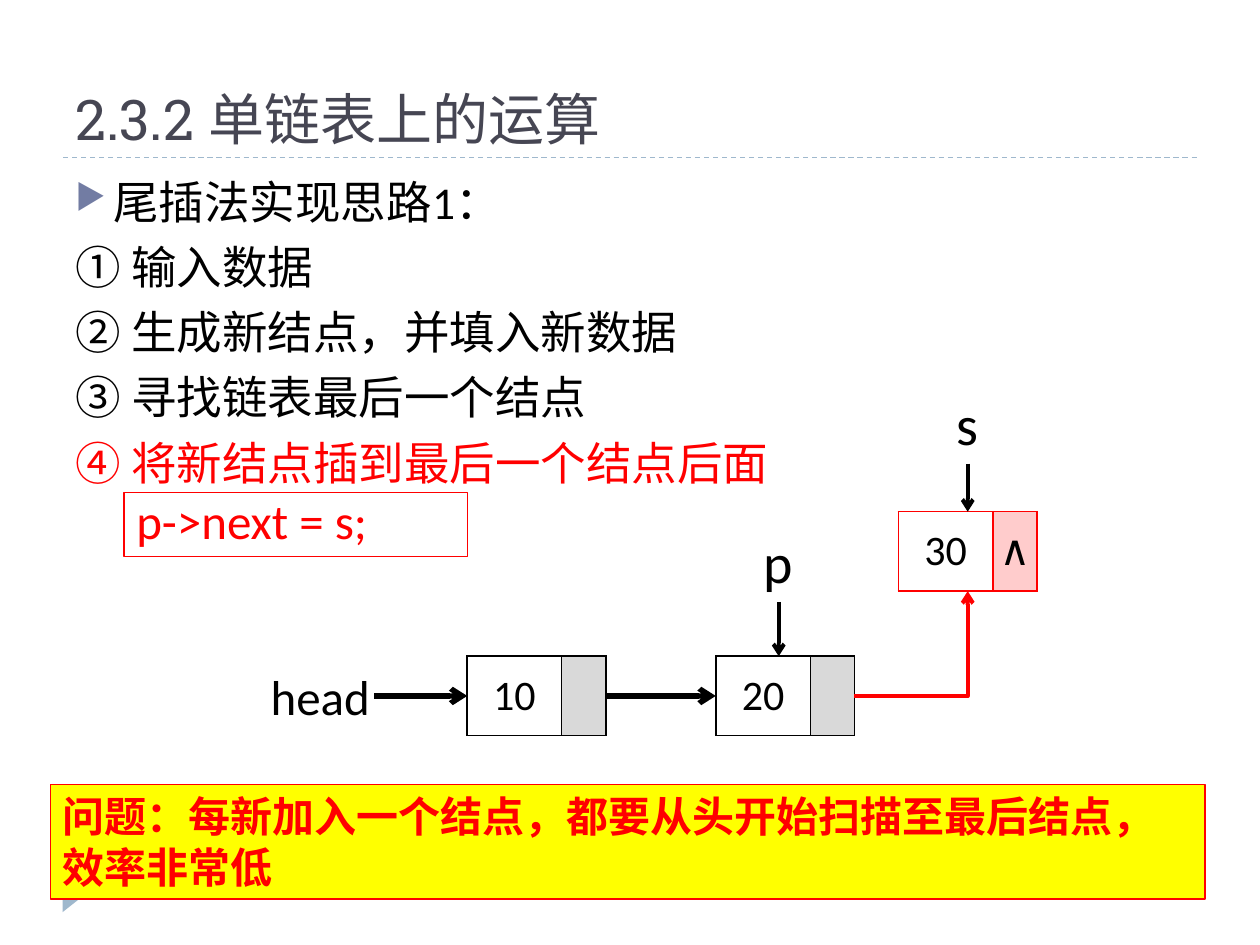
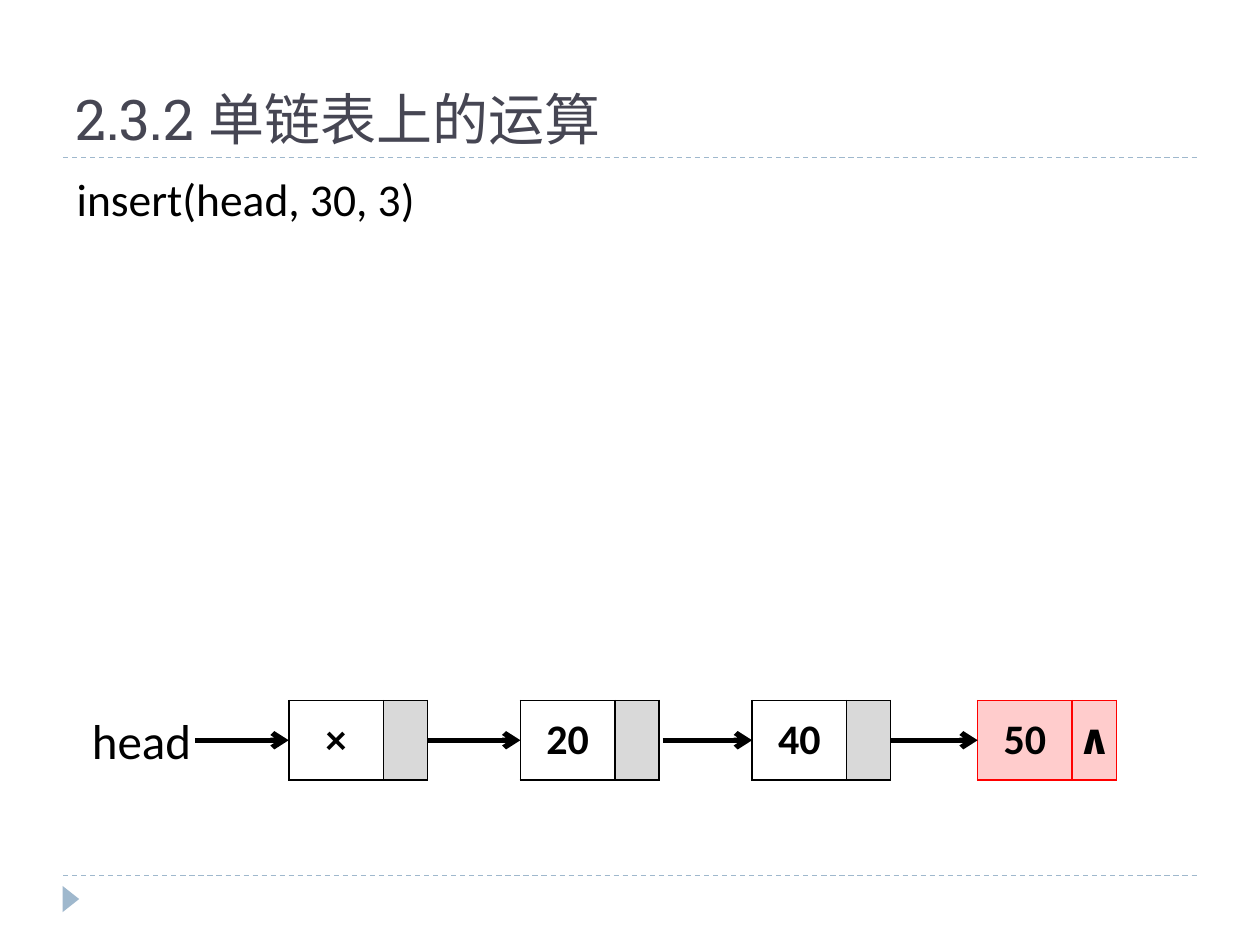
from lxml.etree import SubElement
from pptx import Presentation
from pptx.dml.color import RGBColor
from pptx.enum.dml import MSO_LINE
from pptx.enum.shapes import MSO_CONNECTOR, MSO_SHAPE
from pptx.enum.text import MSO_ANCHOR, PP_ALIGN
from pptx.oxml.ns import qn
from pptx.util import Pt

BLACK = RGBColor(0x00, 0x00, 0x00)
WHITE = RGBColor(0xFF, 0xFF, 0xFF)
RED = RGBColor(0xFF, 0x00, 0x00)
PINK = RGBColor(0xFF, 0xCC, 0xCC)
GRAY = RGBColor(0xD9, 0xD9, 0xD9)
YELLOW = RGBColor(0xFF, 0xFF, 0x00)
SLATE = RGBColor(0x46, 0x46, 0x53)
MIST = RGBColor(0x9F, 0xB8, 0xCD)
BULLET = RGBColor(0x72, 0x7C, 0xA3)

BODY_FONT = "Calibri"
TITLE_FONT = "Roboto Slab"
DATA_WIDTH, LINK_WIDTH, NODE_HEIGHT = 54, 25.2, 45.4
NODE_WIDTH = DATA_WIDTH + LINK_WIDTH


def add_run(para, text, size, color=BLACK, font=BODY_FONT, bold=False):
    """Append one formatted run to a paragraph."""
    span = para.add_run()
    span.text = text
    span.font.size = Pt(size)
    span.font.name = font
    span.font.bold = bold
    span.font.color.rgb = color


def add_text(page, left, top, width, height, text, size, wrap=True,
             anchor=MSO_ANCHOR.TOP, **style):
    """Add a text box holding one run and return it."""
    box = page.shapes.add_textbox(Pt(left), Pt(top), Pt(width), Pt(height))
    box.text_frame.word_wrap = wrap
    box.text_frame.vertical_anchor = anchor
    add_run(box.text_frame.paragraphs[0], text, size, **style)
    return box


def add_panel(page, left, top, width, height, text, size, fill=None,
              spacing=None, bold=False):
    """Add a red-framed rectangle with red left-aligned text."""
    panel = page.shapes.add_shape(MSO_SHAPE.RECTANGLE, Pt(left), Pt(top),
                                  Pt(width), Pt(height))
    panel.shadow.inherit = False
    if fill is None:
        panel.fill.background()
    else:
        panel.fill.solid()
        panel.fill.fore_color.rgb = fill
    panel.line.color.rgb = RED
    panel.line.width = Pt(0.75)
    panel.text_frame.word_wrap = True
    panel.text_frame.vertical_anchor = MSO_ANCHOR.TOP
    para = panel.text_frame.paragraphs[0]
    para.alignment = PP_ALIGN.LEFT
    if spacing:
        para.line_spacing = Pt(spacing)
    add_run(para, text, size, color=RED, bold=bold)


def add_line(page, start, end, color=BLACK, width=3.0, kind=MSO_CONNECTOR.STRAIGHT,
             arrow=True, source=None):
    """Add a connector, optionally starting at the bottom of a source box."""
    line = page.shapes.add_connector(kind, *(Pt(value) for value in (*start, *end)))
    if source is not None:
        line.begin_connect(source, 2)
    line.line.color.rgb = color
    line.line.width = Pt(width)
    properties = line._element.spPr
    if kind == MSO_CONNECTOR.ELBOW:
        properties.find(qn("a:prstGeom")).set("prst", "bentConnector2")
    if arrow:
        SubElement(properties.find(qn("a:ln")), qn("a:tailEnd"), type="arrow")
    else:
        line.line.dash_style = MSO_LINE.DASH
    SubElement(properties, qn("a:effectLst"))


def add_rule(page, top):
    """Add a dashed rule across the page."""
    add_line(page, (36, top), (684, top), MIST, 0.75, arrow=False)


def add_borders(cell, color):
    """Draw all four borders of a table cell."""
    properties = cell._tc.get_or_add_tcPr()
    for side in ("lnL", "lnR", "lnT", "lnB"):
        border = SubElement(properties, qn(f"a:{side}"), w=str(Pt(1)))
        SubElement(SubElement(border, qn("a:solidFill")), qn("a:srgbClr"), val=str(color))


def add_node(page, left, top, data, link="", border=BLACK, fills=(WHITE, GRAY), bold=False):
    """Add a list node: a data cell followed by a link cell."""
    frame = page.shapes.add_table(1, 2, Pt(left), Pt(top), Pt(NODE_WIDTH), Pt(NODE_HEIGHT))
    table = frame.table
    table.first_row = table.horz_banding = False
    table.rows[0].height = Pt(NODE_HEIGHT)
    for index, (text, width) in enumerate(((data, DATA_WIDTH), (link, LINK_WIDTH))):
        table.columns[index].width = Pt(width)
        cell = table.cell(0, index)
        cell.margin_left = cell.margin_right = cell.margin_top = cell.margin_bottom = 0
        cell.vertical_anchor = MSO_ANCHOR.MIDDLE
        add_borders(cell, border)
        cell.fill.solid()
        cell.fill.fore_color.rgb = fills[index]
        if text:
            para = cell.text_frame.paragraphs[0]
            para.alignment = PP_ALIGN.CENTER
            add_run(para, text, 24, bold=bold)


def add_bullet(para):
    """Give a paragraph a hanging triangle bullet."""
    properties = para._p.get_or_add_pPr()
    properties.set("marL", str(Pt(21.6)))
    properties.set("indent", str(-Pt(21.6)))
    SubElement(SubElement(properties, qn("a:buClr")), qn("a:srgbClr"), val=str(BULLET))
    SubElement(properties, qn("a:buSzPct"), val="76000")
    SubElement(properties, qn("a:buChar"), char="▶")


def add_page(deck):
    """Add a page with the shared title, title rule and corner marker."""
    page = deck.slides.add_slide(deck.slide_layouts[6])
    add_rule(page, 90)
    marker = page.shapes.add_shape(MSO_SHAPE.ISOSCELES_TRIANGLE,
                                   Pt(33), Pt(509), Pt(15), Pt(9.5))
    marker.rotation = 90
    marker.shadow.inherit = False
    marker.fill.solid()
    marker.fill.fore_color.rgb = MIST
    marker.line.fill.background()
    add_text(page, 36, 12, 648, 78, "2.3.2 单链表上的运算", 32,
             anchor=MSO_ANCHOR.BOTTOM, color=SLATE, font=TITLE_FONT)
    return page


def build_tail_insert(deck):
    """Build the page on appending a node to the tail."""
    page = add_page(deck)
    box = add_text(page, 36, 96, 648, 389, "尾插法实现思路1：", 26)
    add_bullet(box.text_frame.paragraphs[0])
    steps = (("① 输入数据", BLACK), ("② 生成新结点，并填入新数据", BLACK),
             ("③ 寻找链表最后一个结点", BLACK), ("④ 将新结点插到最后一个结点后面", RED))
    for text, color in steps:
        para = box.text_frame.add_paragraph()
        para.space_before = Pt(6)
        add_run(para, text, 26, color=color)

    top, first, second, new_left, new_top = 375, 267, 409, 513.4, 292.4
    middle = top + NODE_HEIGHT / 2
    add_node(page, first, top, "10")
    add_node(page, second, top, "20")
    add_line(page, (first + NODE_WIDTH, middle), (second, middle))
    add_line(page, (214, middle), (first, middle))
    add_text(page, 147.6, 377.3, 72, 41, "head", 28, wrap=False)
    add_node(page, new_left, new_top, "30", "∧", RED, (WHITE, PINK))
    pointers = (("s", 539.3, 219, 27.4, new_top), ("p", 429.2, 298, 31.6, top))
    for name, left, label_top, width, target in pointers:
        label = add_text(page, left, label_top, width, 46, name, 32, wrap=False)
        center = left + width / 2
        add_line(page, (center, label_top + 46), (center, target), width=2.25, source=label)
    add_line(page, (second + NODE_WIDTH, middle), (553, new_top + NODE_HEIGHT),
             RED, 2.25, MSO_CONNECTOR.ELBOW)
    add_panel(page, 28.8, 448.4, 659.8, 65.4,
              "问题：每新加入一个结点，都要从头开始扫描至最后结点，效率非常低",
              24, fill=YELLOW, bold=True)
    add_panel(page, 70.8, 281.4, 196.4, 36.6, "p->next = s;", 28, spacing=29)


def build_positioned_insert(deck):
    """Build the page on inserting at a given position."""
    page = add_page(deck)
    add_rule(page, 500.4)
    add_text(page, 36.7, 94.3, 648, 389, "insert(head, 30, 3)", 26)
    top, last = 400.3, 558.7
    middle = top + NODE_HEIGHT / 2
    lefts = [165 + 132.4 * index for index in range(3)]
    for left, data in zip(lefts, ("×", "20", "40")):
        add_node(page, left, top, data, bold=True)
    add_node(page, last, top, "50", "∧", RED, (PINK, PINK), bold=True)
    add_text(page, 45.4, 402.5, 71.3, 41, "head", 28, wrap=False)
    starts = (111.6, lefts[0] + NODE_WIDTH, 378.7, lefts[2] + NODE_WIDTH)
    for start, end in zip(starts, (*lefts, last)):
        add_line(page, (start, middle), (end, middle))


def main():
    """Build and save the deck."""
    deck = Presentation()
    deck.slide_width, deck.slide_height = Pt(720), Pt(540)
    build_tail_insert(deck)
    build_positioned_insert(deck)
    deck.save("out.pptx")


if __name__ == "__main__":
    main()
